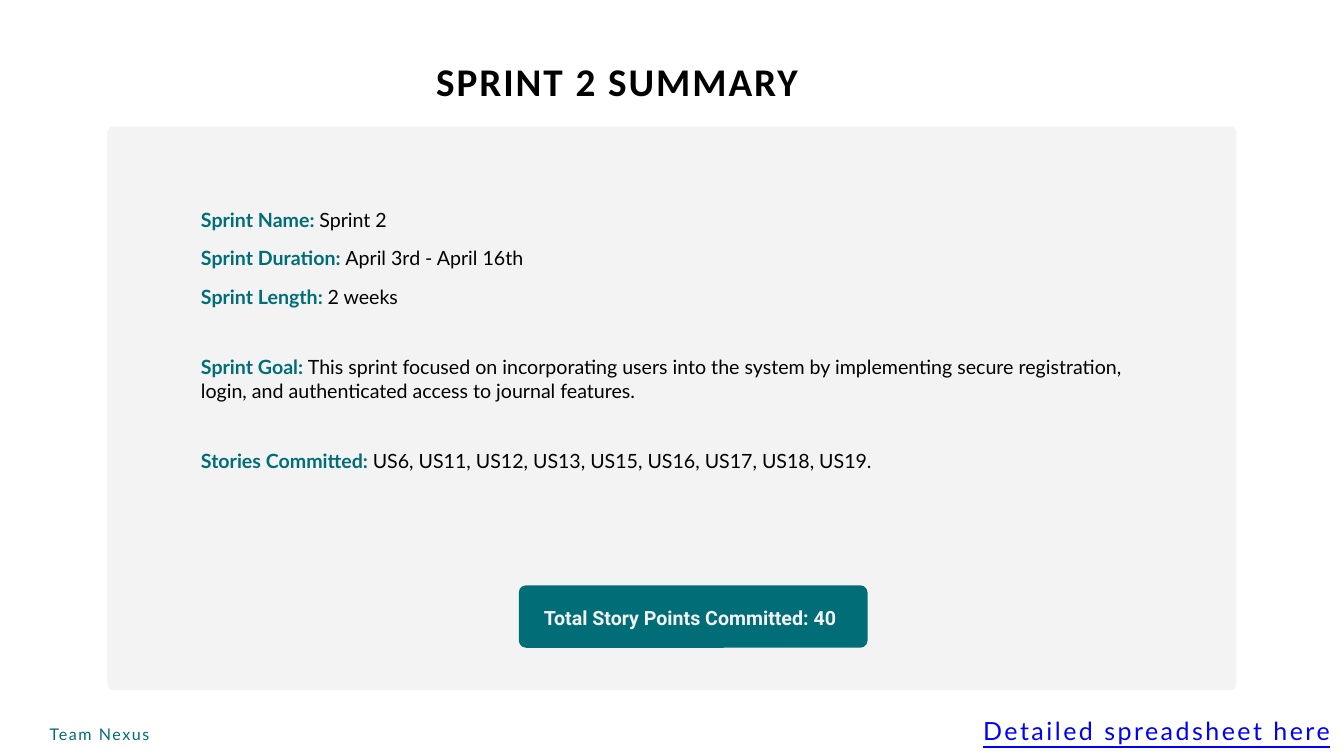
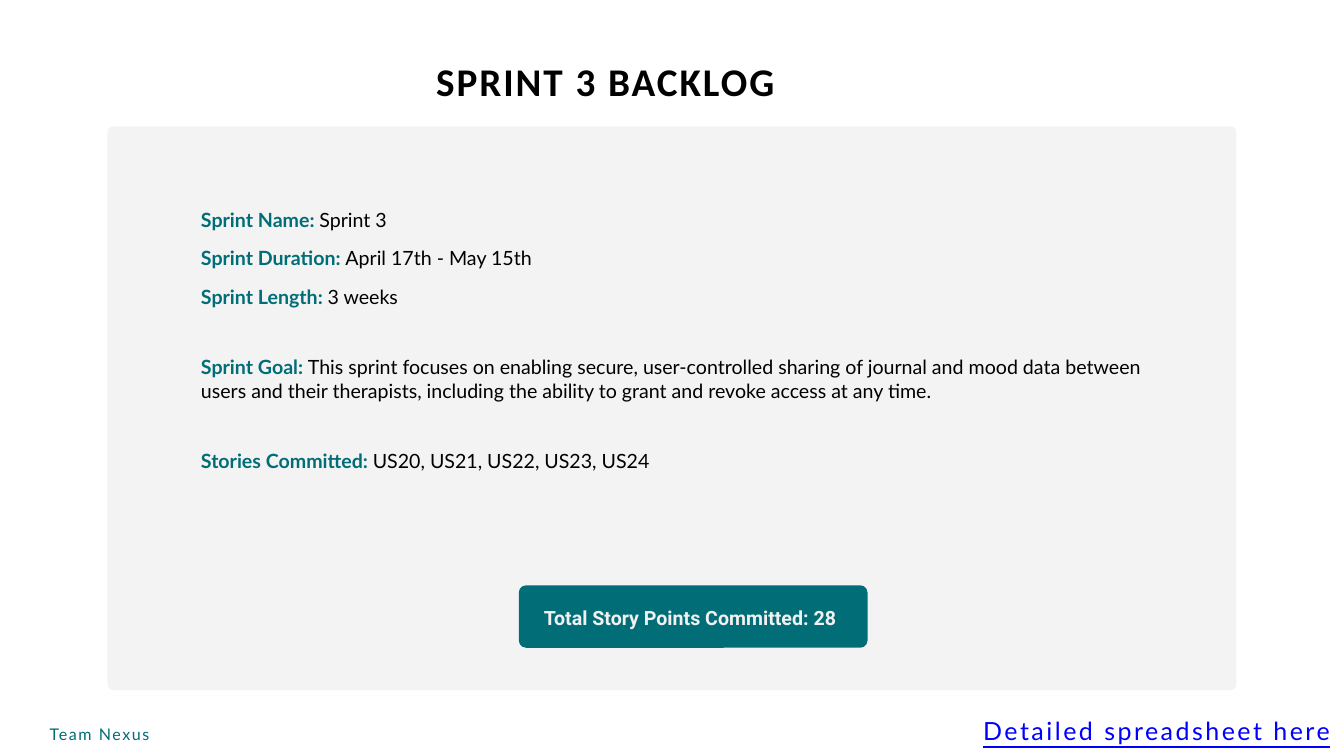
from dataclasses import dataclass

from lxml import etree
from pptx import Presentation
from pptx.dml.color import RGBColor
from pptx.enum.shapes import MSO_SHAPE
from pptx.enum.text import MSO_ANCHOR, MSO_AUTO_SIZE, PP_ALIGN
from pptx.oxml.ns import qn
from pptx.util import Inches, Pt

ROUNDED = MSO_SHAPE.ROUNDED_RECTANGLE
TOP = MSO_ANCHOR.TOP
NO_AUTOFIT = MSO_AUTO_SIZE.NONE
LEFT = PP_ALIGN.LEFT
CENTER = PP_ALIGN.CENTER

TEAL = "006D77"
GRAY = "F2F1F1"
BLACK = "000000"
WHITE = "FFFFFF"
LINK_BLUE = "0000FF"


@dataclass(frozen=True)
class Box:
    left: float
    top: float
    width: float
    height: float


@dataclass(frozen=True)
class TextStyle:
    font: str
    size: float
    color: str
    bold: bool = False
    underline: bool = False
    tracking: float = 0


@dataclass(frozen=True)
class Label:
    box: Box
    style: TextStyle
    line_height: float
    alignment: PP_ALIGN = LEFT


@dataclass(frozen=True)
class Card:
    box: Box
    color: str
    radius: float
    opacity: int = 100


@dataclass(frozen=True)
class Sprint:
    title: str
    name: str
    duration: str
    length: str
    goal: str
    stories: str
    points: int
    body_height: float


PANEL = Card(Box(1.6, 1.88, 16.8, 8.39), GRAY, 0.09, 80)
BADGE = Card(Box(7.72, 8.71, 5.19, 0.93), TEAL, 0.11)

TITLE = Label(Box(6.49, 0.74, 7.92, 0.81),
              TextStyle("Calibri", 42, BLACK, bold=True, tracking=2.1), 58.8)
TOTAL = Label(Box(7.81, 8.96, 4.99, 0.39),
              TextStyle("Roboto", 21, GRAY, bold=True), 29.4, CENTER)
TEAM = Label(Box(0.74, 10.73, 1.61, 0.32),
             TextStyle("Lato", 17.2, TEAL, tracking=1.7), 24.1)
SHEET = Label(Box(14.61, 10.5, 5.21, 0.56),
              TextStyle("Lato", 26.8, LINK_BLUE, underline=True, tracking=2.7),
              42.9, CENTER)

FIELD_NAME = TextStyle("Lato", 21, TEAL, bold=True)
FIELD_VALUE = TextStyle("Lato", 21, BLACK)
FACT_LINE = 41.2
PROSE_LINE = 25.2

SPRINTS = [
    Sprint("SPRINT 2 SUMMARY", "Sprint 2", "April 3rd - April 16th", "2 weeks",
           "This sprint focused on incorporating users into the system by "
           "implementing secure registration, login, and authenticated access "
           "to journal features.",
           "US6, US11, US12, US13, US15, US16, US17, US18, US19.", 40, 5.54),
    Sprint("SPRINT 3 BACKLOG", "Sprint 3", "April 17th - May 15th", "3 weeks",
           "This sprint focuses on enabling secure, user-controlled sharing of "
           "journal and mood data between users and their therapists, including "
           "the ability to grant and revoke access at any time.",
           "US20, US21, US22, US23, US24", 28, 5.88),
]


def rgb(color: str) -> RGBColor:
    return RGBColor.from_string(color)


def place(box: Box) -> tuple:
    return Inches(box.left), Inches(box.top), Inches(box.width), Inches(box.height)


def add_card(slide, card: Card) -> None:
    shape = slide.shapes.add_shape(ROUNDED, *place(card.box))
    shape.adjustments[0] = card.radius / min(card.box.width, card.box.height)
    shape.shadow.inherit = False
    shape.line.fill.background()
    shape.fill.solid()
    shape.fill.fore_color.rgb = rgb(card.color)
    if card.opacity < 100:
        color = shape.element.spPr.find(qn("a:solidFill")).find(qn("a:srgbClr"))
        etree.SubElement(color, qn("a:alpha")).set("val", str(card.opacity * 1000))


def add_text_frame(slide, box: Box):
    frame = slide.shapes.add_textbox(*place(box)).text_frame
    frame.word_wrap = True
    frame.auto_size = NO_AUTOFIT
    frame.vertical_anchor = TOP
    frame.margin_left = frame.margin_top = Inches(0)
    frame.margin_right = frame.margin_bottom = Inches(0)
    return frame


def add_run(paragraph, text: str, style: TextStyle) -> None:
    run = paragraph.add_run()
    run.text = text
    run.font.name = style.font
    run.font.size = Pt(style.size)
    run.font.bold = style.bold
    run.font.underline = style.underline
    run.font.color.rgb = rgb(style.color)
    if style.tracking:
        run._r.get_or_add_rPr().set("spc", str(round(style.tracking * 100)))


def add_label(slide, label: Label, text: str) -> None:
    paragraph = add_text_frame(slide, label.box).paragraphs[0]
    paragraph.alignment = label.alignment
    paragraph.line_spacing = Pt(label.line_height)
    add_run(paragraph, text, label.style)


def add_details(slide, sprint: Sprint) -> None:
    frame = add_text_frame(slide, Box(2.99, 2.87, 14.01, sprint.body_height))
    gap = 2 * PROSE_LINE
    fields = [
        ("Sprint Name: ", sprint.name, FACT_LINE, 0),
        ("Sprint Duration: ", sprint.duration, FACT_LINE, 0),
        ("Sprint Length: ", sprint.length, FACT_LINE, 0),
        ("Sprint Goal: ", sprint.goal, PROSE_LINE, gap),
        ("Stories Committed: ", sprint.stories, PROSE_LINE, gap),
    ]
    for index, (name, value, line_height, space_before) in enumerate(fields):
        paragraph = frame.add_paragraph() if index else frame.paragraphs[0]
        paragraph.alignment = LEFT
        paragraph.line_spacing = Pt(line_height)
        paragraph.space_before = Pt(space_before)
        add_run(paragraph, name, FIELD_NAME)
        add_run(paragraph, value, FIELD_VALUE)


def add_sprint_slide(presentation, sprint: Sprint) -> None:
    slide = presentation.slides.add_slide(presentation.slide_layouts[6])
    slide.background.fill.solid()
    slide.background.fill.fore_color.rgb = rgb(WHITE)
    add_label(slide, TITLE, sprint.title)
    add_card(slide, PANEL)
    add_card(slide, BADGE)
    add_details(slide, sprint)
    add_label(slide, TOTAL, f"Total Story Points Committed: {sprint.points} ")
    add_label(slide, TEAM, "Team Nexus")
    add_label(slide, SHEET, "Detailed spreadsheet here")


def main() -> None:
    presentation = Presentation()
    presentation.slide_width = Inches(20)
    presentation.slide_height = Inches(11.25)
    for sprint in SPRINTS:
        add_sprint_slide(presentation, sprint)
    presentation.save("out.pptx")


if __name__ == "__main__":
    main()
